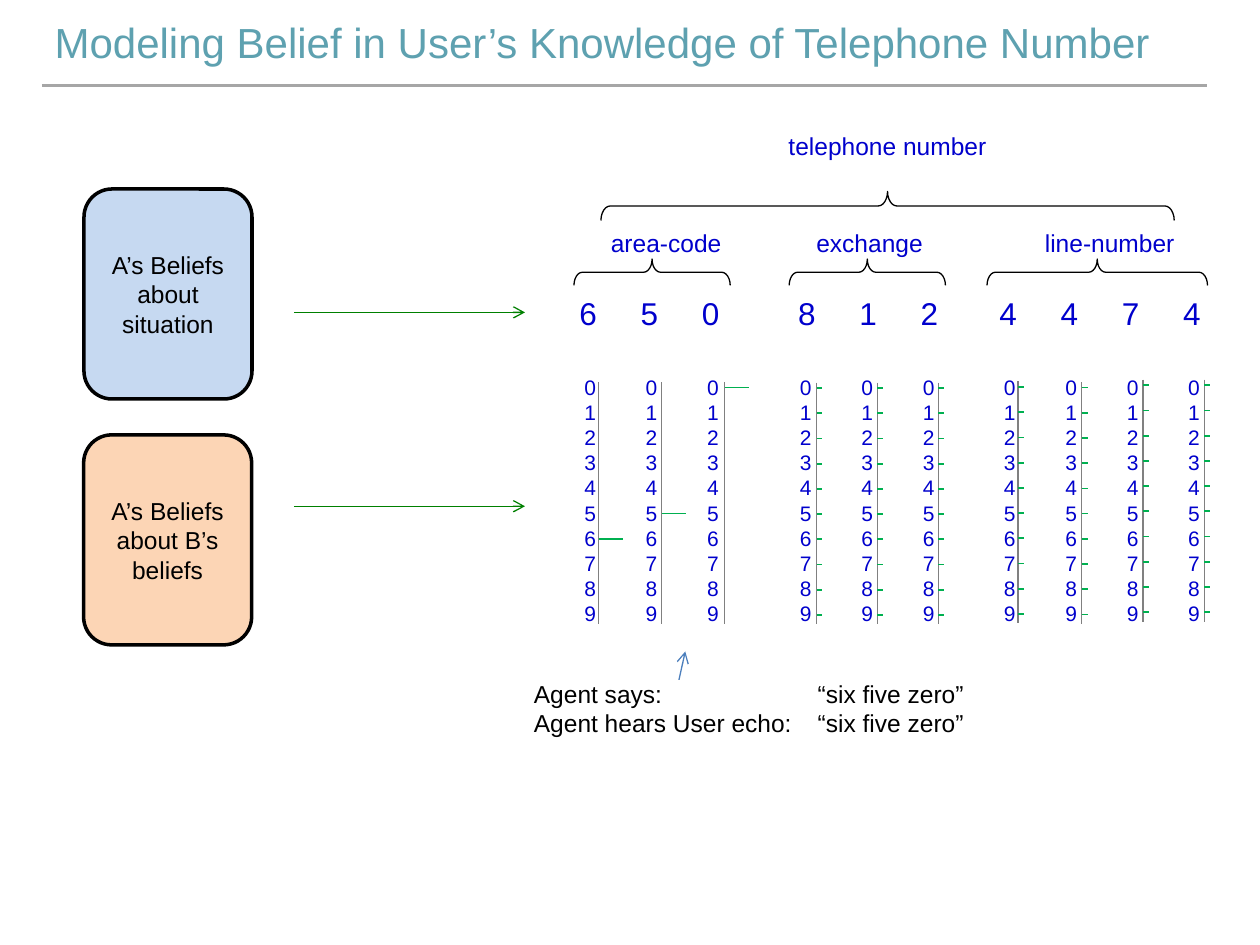
from lxml import etree
from pptx import Presentation
from pptx.dml.color import RGBColor
from pptx.enum.shapes import MSO_CONNECTOR, MSO_SHAPE
from pptx.enum.text import MSO_ANCHOR, PP_ALIGN
from pptx.oxml.ns import qn
from pptx.util import Pt

BLUE, BLACK, GREEN = "0000CC", "000000", "00B050"
DIGIT_STEP = 14.4


def color(value):
    return RGBColor.from_string(value)


def write_lines(frame, lines, size, ink, align=PP_ALIGN.LEFT, tabs=()):
    """Fill a text frame, one paragraph a line, with tab stops in points."""
    for index, line in enumerate(lines):
        para = frame.paragraphs[0] if index == 0 else frame.add_paragraph()
        para.alignment = align
        if tabs:
            stops = etree.SubElement(para._p.get_or_add_pPr(), qn("a:tabLst"))
            for stop in tabs:
                etree.SubElement(stops, qn("a:tab"), pos=str(int(Pt(stop))), algn="l")
        span = para.add_run()
        span.text = line
        span.font.name = "Arial"
        span.font.size = Pt(size)
        span.font.color.rgb = color(ink)


def add_text(page, left, top, width, height, lines, size, ink=BLUE, tabs=()):
    box = page.shapes.add_textbox(Pt(left), Pt(top), Pt(width), Pt(height))
    box.text_frame.word_wrap = False
    write_lines(box.text_frame, lines, size, ink, tabs=tabs)


def add_line(page, x1, y1, x2, y2, ink, weight=0.75, arrow=False):
    line = page.shapes.add_connector(
        MSO_CONNECTOR.STRAIGHT, Pt(x1), Pt(y1), Pt(x2), Pt(y2))
    line.line.color.rgb = color(ink)
    line.line.width = Pt(weight)
    if arrow:
        etree.SubElement(line.line._get_or_add_ln(), qn("a:tailEnd"), type="arrow")
    etree.SubElement(line._element.spPr, qn("a:effectLst"))


def add_title(page, left, top, width, height):
    title = page.shapes.title
    title.left, title.top, title.width, title.height = map(Pt, (left, top, width, height))
    title.text_frame.word_wrap = False
    title.text_frame.vertical_anchor = MSO_ANCHOR.TOP
    write_lines(title.text_frame,
                ["Modeling Belief in User’s Knowledge of Telephone Number"], 24, "5EA1B0")
    add_line(page, left, 49, 690, 49, "A6A6A6", 1.5)


def add_belief(page, left, top, width, height, label, fill, arrow_y):
    """Rounded belief card with the arrow that leads to its model."""
    card = page.shapes.add_shape(
        MSO_SHAPE.ROUNDED_RECTANGLE, Pt(left), Pt(top), Pt(width), Pt(height))
    card.shadow.inherit = False
    card.fill.solid()
    card.fill.fore_color.rgb = color(fill)
    card.line.color.rgb = color(BLACK)
    card.line.width = Pt(2)
    card.text_frame.vertical_anchor = MSO_ANCHOR.MIDDLE
    write_lines(card.text_frame, [label], 14, BLACK, PP_ALIGN.CENTER)
    add_line(page, 168, arrow_y, 300, arrow_y, "008000", arrow=True)


def add_brace(page, left, top, width, height):
    """Brace opening downwards: a right brace turned about the box centre."""
    brace = page.shapes.add_shape(
        MSO_SHAPE.RIGHT_BRACE, Pt(left + (width - height) / 2),
        Pt(top + (height - width) / 2), Pt(height), Pt(width))
    brace.rotation = 270
    brace.adjustments[0] = 0.32
    brace.shadow.inherit = False
    brace.fill.background()
    brace.line.color.rgb = color(BLACK)
    brace.line.width = Pt(0.75)


def add_number_tree(page, left, top):
    """Telephone number, its three parts and their digits."""
    add_text(page, left + 119.5, top, 128, 24.5, ["telephone number"], 14)
    add_brace(page, left + 19.4, top + 38.2, 327.6, 16.6)
    add_text(page, left + 18, top + 55.5, 338, 24.5,
             ["area-code\texchange\tline-number"], 14, tabs=(117.4, 248))
    for brace_left, width in ((4, 89.3), (127, 89.3), (240, 126)):
        add_brace(page, left + brace_left, top + 76.8, width, 15.1)
    # Digits stand 35 points apart, in groups of 3, 3 and 4
    starts = ((0, 3), (125, 3), (240, 4))
    stops = [start + 35 * place for start, count in starts for place in range(count)]
    add_text(page, left, top + 93, 373, 29, ["\t".join("6508124474")], 18, tabs=stops[1:])


def add_digit_column(page, left, top, axis, tick_top, believed=None):
    """Digits 0-9 with an axis; one long tick if believed, else ten short ones."""
    add_text(page, left, top, 21, 152.6, [str(digit) for digit in range(10)], 12)
    add_line(page, axis, tick_top - 3.2, axis, tick_top + 135, "808080")
    digits, length = (range(10), 3.4) if believed is None else ([believed], 13.8)
    for digit in digits:
        y = tick_top + DIGIT_STEP * digit
        add_line(page, axis, y, axis + length, y, GREEN, 1)


def add_digit_columns(page, left, top):
    # Each group: offset, axis positions, first tick heights, believed digits
    groups = (
        (0, (342, 378, 414), (221.5,) * 3, (6, 5, 0)),
        (123.2, (466.6, 501.3, 536.2), (221.8,) * 3, (None,) * 3),
        (239.8, (581.8, 618.2, 653.2, 688.2), (221.2, 221.5, 220.2, 220.2), (None,) * 4),
    )
    for offset, axes, tick_tops, beliefs in groups:
        for place, (axis, tick_top, believed) in enumerate(zip(axes, tick_tops, beliefs)):
            add_digit_column(page, left + offset + 35.1 * place, top, axis, tick_top, believed)


def add_dialogue(page, left, top, width, height):
    add_text(page, left, top, width, height,
             ["Agent says:\t“six five zero”", "Agent hears User echo:\t“six five zero”"],
             14, BLACK, tabs=(162.2,))
    add_line(page, left + 90, top + 4, left + 93.6, top - 12.2, "4B7EBC", arrow=True)


def main():
    deck = Presentation()
    deck.slide_width, deck.slide_height = Pt(720), Pt(540)
    page = deck.slides.add_slide(deck.slide_layouts[5])
    add_title(page, 24, 5.8, 647, 36)
    add_belief(page, 48, 108, 96, 120, "A’s Beliefs about situation", "C6D9F1", 178.5)
    add_belief(page, 47.8, 248.5, 96, 120, "A’s Beliefs about B’s beliefs", "FCD5B5", 289.3)
    add_number_tree(page, 324, 71.2)
    add_digit_columns(page, 326.8, 210.2)
    add_dialogue(page, 298, 384.5, 266, 41)
    deck.save("out.pptx")


if __name__ == "__main__":
    main()
